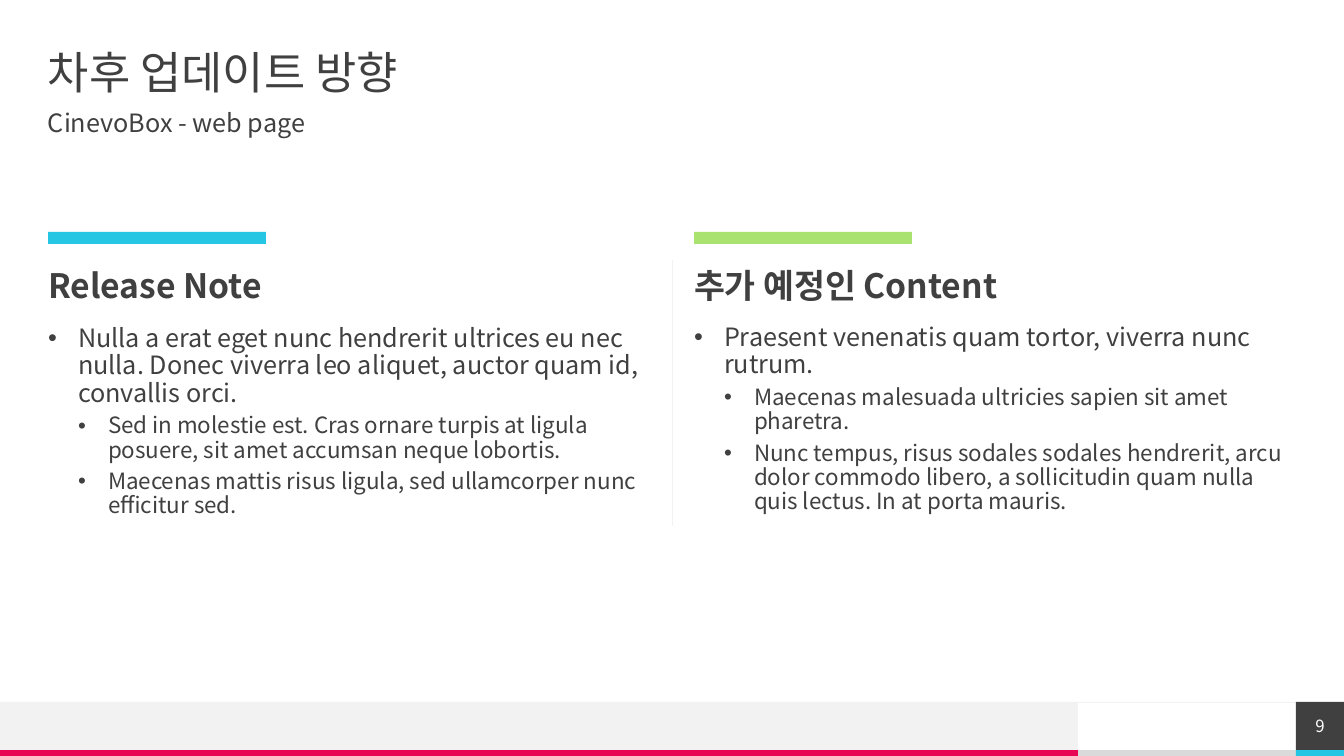
from pptx import Presentation
from pptx.dml.color import RGBColor
from pptx.enum.shapes import MSO_CONNECTOR, MSO_SHAPE
from pptx.enum.text import MSO_ANCHOR, PP_ALIGN
from pptx.oxml.ns import qn
from pptx.util import Inches, Pt
from lxml import etree

RECT, LINE = MSO_SHAPE.RECTANGLE, MSO_CONNECTOR.STRAIGHT
TOP, MIDDLE = MSO_ANCHOR.TOP, MSO_ANCHOR.MIDDLE
LEFT, CENTER = PP_ALIGN.LEFT, PP_ALIGN.CENTER
FONT = "Noto Sans CJK KR"
C = {"cyan": "25C6E3", "green": "A9E26F", "pink": "E80554", "dark": "404040",
     "pale": "F2F2F2", "grey": "DADADA", "white": "FFFFFF"}

TITLE = "차후 업데이트 방향"
SUBTITLE = "CinevoBox - web page"
PAGE = "9"
COLUMNS = [
    ("Release Note", "cyan", 326, [
        (0, "Nulla a erat eget nunc hendrerit ultrices eu nec nulla. "
            "Donec viverra leo aliquet, auctor quam id, convallis orci."),
        (1, "Sed in molestie est. Cras ornare turpis at ligula posuere, "
            "sit amet accumsan neque lobortis."),
        (1, "Maecenas mattis risus ligula, sed ullamcorper nunc efficitur sed."),
    ]),
    ("추가 예정인 Content", "green", 325, [
        (0, "Praesent venenatis quam tortor, viverra nunc rutrum."),
        (1, "Maecenas malesuada ultricies sapien sit amet pharetra."),
        (1, "Nunc tempus, risus sodales sodales hendrerit, arcu dolor commodo libero, "
            "a sollicitudin quam nulla quis lectus. In at porta mauris."),
    ]),
]
BULLET_LEVELS = [{"size": 18, "before": 10}, {"size": 16, "before": 5}]

W, H = 1344, 756
MARGIN, GAP, INDENT = 48, 44, 30
FULL_W = W - 2 * MARGIN
COL_W = (FULL_W - GAP) // 2
FOOT_Y, STRIPE_Y = 702, 750
FOOT_W, PAGE_X = 1078, W - MARGIN
FOOT_H, STRIPE_H = STRIPE_Y - FOOT_Y, H - STRIPE_Y


def px(n):
    return Inches(n / 100.8)


def rgb(name):
    return RGBColor.from_string(C[name])


def add_bar(s, box, color):
    sp = s.shapes.add_shape(RECT, *map(px, box))
    sp.shadow.inherit = False
    sp.fill.solid()
    sp.fill.fore_color.rgb = rgb(color)
    sp.line.fill.background()
    return sp


def add_rule(s, *ends):
    ln = s.shapes.add_connector(LINE, *map(px, ends))
    ln.line.color.rgb = rgb("pale")
    ln.line.width = Pt(0.5)
    etree.SubElement(ln._element.spPr, qn("a:effectLst"))


def set_frame(sp, anchor=TOP):
    tf = sp.text_frame
    names = ("margin_left", "margin_top", "margin_right", "margin_bottom")
    fmt = dict.fromkeys(names, 0) | {"word_wrap": True, "vertical_anchor": anchor}
    for name, value in fmt.items():
        setattr(tf, name, value)
    return tf


def add_run(p, text, size, color="dark", bold=False):
    r = p.add_run()
    r.text = text
    for name, value in {"name": FONT, "size": Pt(size), "bold": bold}.items():
        setattr(r.font, name, value)
    r.font.color.rgb = rgb(color)
    etree.SubElement(r._r.get_or_add_rPr(), qn("a:ea")).set("typeface", FONT)


def set_paragraph(p, align=LEFT, spacing=0.9, before=0):
    fmt = {"alignment": align, "line_spacing": spacing, "space_before": Pt(before)}
    for name, value in fmt.items():
        setattr(p, name, value)


def add_text(s, box, text, size, bold=False, anchor=TOP, before=10):
    tf = set_frame(s.shapes.add_textbox(*map(px, box)), anchor)
    p = tf.paragraphs[0]
    set_paragraph(p, before=before)
    add_run(p, text, size, bold=bold)


def add_bullets(s, box, items):
    tf = set_frame(s.shapes.add_textbox(*map(px, box)))
    for i, (level, text) in enumerate(items):
        p = tf.add_paragraph() if i else tf.paragraphs[0]
        p.level = level
        look = BULLET_LEVELS[level]
        set_paragraph(p, before=look["before"])
        pPr = p._p.get_or_add_pPr()
        pPr.set("marL", str(px(INDENT * (level + 1))))
        pPr.set("indent", str(-px(INDENT)))
        etree.SubElement(pPr, qn("a:buFont")).set("typeface", "Arial")
        etree.SubElement(pPr, qn("a:buChar")).set("char", "•")
        add_run(p, text, look["size"])


def add_footer(s):
    add_bar(s, (FOOT_W, STRIPE_Y, PAGE_X - FOOT_W, STRIPE_H), "grey")
    add_bar(s, (0, FOOT_Y, FOOT_W, FOOT_H), "pale")
    add_bar(s, (0, STRIPE_Y, FOOT_W, STRIPE_H), "pink")
    add_bar(s, (PAGE_X, STRIPE_Y, MARGIN, STRIPE_H), "cyan")
    add_rule(s, W, FOOT_Y, 0, FOOT_Y)

    sp = add_bar(s, (PAGE_X, FOOT_Y, MARGIN, FOOT_H), "dark")
    p = set_frame(sp, MIDDLE).paragraphs[0]
    set_paragraph(p, CENTER, 1.0)
    add_run(p, PAGE, 12, "white")


def main():
    prs = Presentation()
    prs.slide_width, prs.slide_height = px(W), px(H)
    s = prs.slides.add_slide(prs.slide_layouts[6])
    add_footer(s)
    add_text(s, (MARGIN, 52, FULL_W, 47), TITLE, 32, anchor=MIDDLE, before=0)
    add_text(s, (MARGIN, 111, FULL_W, 39), SUBTITLE, 18)
    for i, (heading, color, body_y, items) in enumerate(COLUMNS):
        x = MARGIN + i * (COL_W + GAP)
        add_bar(s, (x, 232, 218, 12), color)
        add_text(s, (x, 269, COL_W, 39), heading, 24, bold=True)
        add_bullets(s, (x, body_y, COL_W, 242), items)
    add_rule(s, W // 2, 260, W // 2, 526)
    prs.save("out.pptx")


if __name__ == "__main__":
    main()
